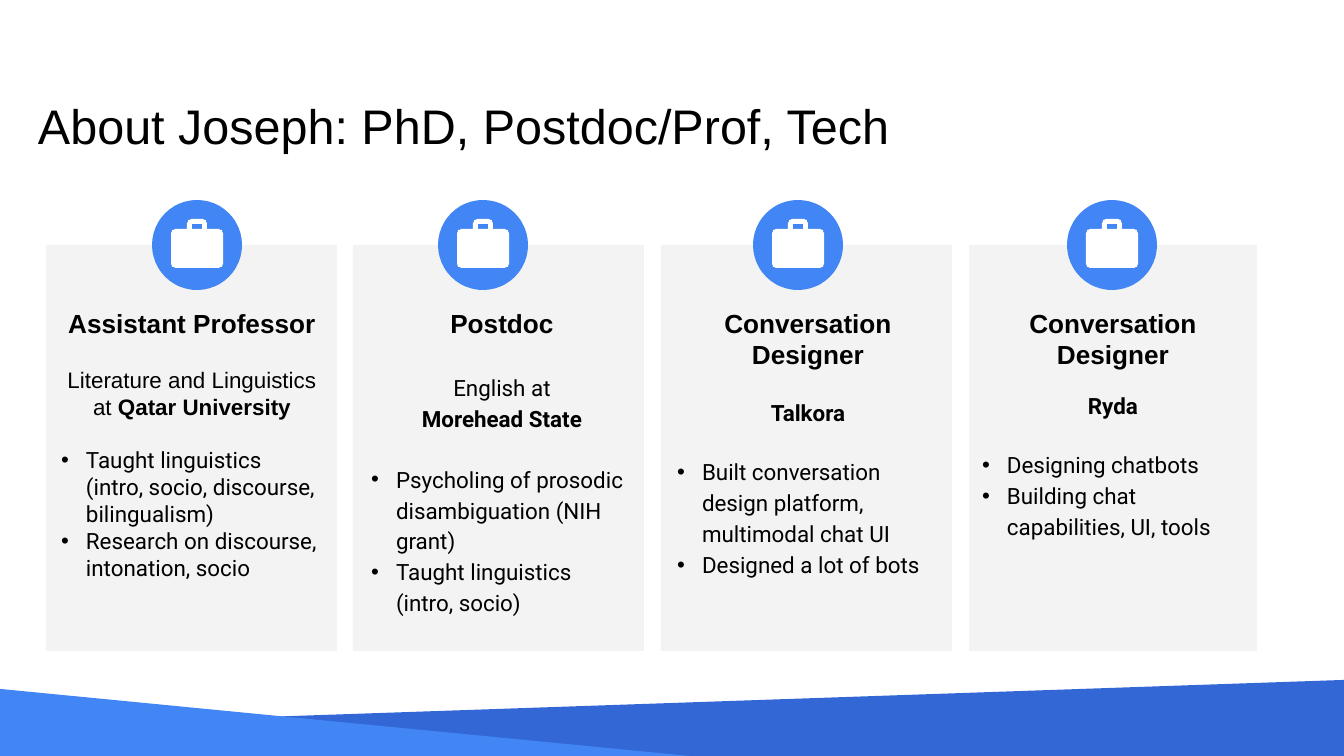
from dataclasses import dataclass
from math import cos, radians, sin

from lxml import etree
from pptx import Presentation
from pptx import util as u
from pptx.dml.color import RGBColor
from pptx.enum import shapes, text
from pptx.oxml.ns import qn

PX = 9144000 / 1344
BLACK, WHITE, GREY = "000000", "FFFFFF", "F3F3F3"
BLUE, DARK_BLUE = "4285F4", "3367D6"
CARD_TOP, CARD_HEIGHT = 245, 406
ICON_TOP, ICON_SIZE = 200, 90
TEXT_TOP, TEXT_WIDTH = 294, 288
INSET, INDENT = 13, 25


@dataclass
class Card:
    left: int
    width: int
    icon_left: int
    text_left: int
    heading: str
    place: list[tuple[str, bool]]  # (text, bold); "\n" breaks the line
    duties: list[str]
    place_gap: float  # points
    duties_gap: float
    place_font: str = "Roboto"
    place_spacing: float = 1.0
    duties_spacing: float = 1.15


CARDS = [
    Card(46, 291, 152, 48, "Assistant Professor",
         [("Literature and Linguistics at ", False), ("Qatar University", True)],
         ["Taught linguistics (intro, socio, discourse, bilingualism)",
          "Research on discourse, intonation, socio"],
         15, 14, place_font="Arial", duties_spacing=1.0),
    Card(353, 291, 438, 358, "Postdoc",
         [("English at", False), ("\n", False), ("Morehead State", True)],
         ["Psycholing of prosodic disambiguation (NIH grant)",
          "Taught linguistics (intro, socio)"],
         17, 16, place_spacing=1.15),
    Card(661, 291, 753, 664, "Conversation Designer", [("Talkora", True)],
         ["Built conversation design platform, multimodal chat UI",
          "Designed a lot of bots"],
         16, 15),
    Card(969, 288, 1067, 969, "Conversation Designer", [("Ryda", True)],
         ["Designing chatbots", "Building chat capabilities, UI, tools"],
         12, 15),
]


def px(n: float) -> int:
    return round(n * PX)


def rgb(color: str) -> RGBColor:
    return RGBColor.from_string(color)


def paint(sp, color: str):
    sp.shadow.inherit = False
    sp.fill.solid()
    sp.fill.fore_color.rgb = rgb(color)
    sp.line.fill.background()


def add_block(parent, kind, left: int, top: int, width: int, height: int, color: str):
    paint(parent.add_shape(kind, px(left), px(top), px(width), px(height)), color)


def add_outline(parent, contours, color: str):
    """Draw closed contours as one freeform; a later contour inside cuts a hole."""
    first, *holes = contours
    fb = parent.build_freeform(*first[0], scale=PX)
    fb.add_line_segments(first[1:])
    for hole in holes:
        fb.move_to(*hole[0])
        fb.add_line_segments(hole[1:])
    paint(fb.convert_to_shape(), color)


def corner(cx: float, cy: float, r: float, start: int) -> list[tuple[float, float]]:
    """Points of a clockwise quarter circle from the start angle."""
    angles = [radians(start + step) for step in range(0, 91, 15)]
    return [(cx + r * cos(a), cy + r * sin(a)) for a in angles]


def add_icon(s, left: int):
    group = s.shapes.add_group_shape().shapes
    add_block(group, shapes.MSO_SHAPE.OVAL, left, ICON_TOP, ICON_SIZE, ICON_SIZE, BLUE)
    case = [(35, 29), *corner(40, 24, 5, 180), *corner(50, 24, 5, 270), (55, 29),
            *corner(66, 34, 5, 270), *corner(66, 63, 5, 0),
            *corner(24, 63, 5, 90), *corner(24, 34, 5, 180), (35, 29)]
    handle_hole = [(50, 29), (50, 24), (40, 24), (40, 29), (50, 29)]
    add_outline(group, [[(left + x, ICON_TOP + y) for x, y in contour]
                        for contour in (case, handle_hole)], WHITE)


def place_box(sp, left: int, top: int, width: int, height: int):
    sp.left, sp.top, sp.width, sp.height = map(px, (left, top, width, height))
    tf = sp.text_frame
    tf.word_wrap = True
    tf.auto_size = text.MSO_AUTO_SIZE.NONE
    tf.vertical_anchor = text.MSO_ANCHOR.TOP
    tf.margin_left = tf.margin_right = tf.margin_top = tf.margin_bottom = px(INSET)
    return tf


def write(p, runs: list[tuple[str, bool]], *, size: int = 12, font: str = "Roboto",
          align=text.PP_ALIGN.CENTER, before: float = 0, spacing: float = 1.0,
          bullet: bool = False):
    pPr = p._p.get_or_add_pPr()
    indent = px(INDENT) if bullet else 0
    pPr.set("marL", str(indent))
    pPr.set("indent", str(-indent))
    p.alignment, p.line_spacing = align, spacing
    p.space_before, p.space_after = u.Pt(before), u.Pt(0)
    if bullet:
        etree.SubElement(pPr, qn("a:buFont"), typeface="Arial")
        etree.SubElement(pPr, qn("a:buChar"), char="•")
    else:
        etree.SubElement(pPr, qn("a:buNone"))
    for words, bold in runs:
        if words == "\n":
            p.add_line_break()
            continue
        r = p.add_run()
        r.text = words
        r.font.name, r.font.size, r.font.bold = font, u.Pt(size), bold
        r.font.color.rgb = rgb(BLACK)


def add_card(s, card: Card, body):
    add_block(s.shapes, shapes.MSO_SHAPE.RECTANGLE,
              card.left, CARD_TOP, card.width, CARD_HEIGHT, GREY)
    add_icon(s, card.icon_left)
    body.element.getparent().append(body.element)  # bring the text to the front
    tf = place_box(body, card.text_left, TEXT_TOP, TEXT_WIDTH,
                   CARD_TOP + CARD_HEIGHT - TEXT_TOP)
    write(tf.paragraphs[0], [(card.heading, True)], size=14, font="Arial")
    write(tf.add_paragraph(), card.place, font=card.place_font,
          before=card.place_gap, spacing=card.place_spacing)
    for i, duty in enumerate(card.duties):
        write(tf.add_paragraph(), [(duty, False)], align=text.PP_ALIGN.LEFT,
              before=0 if i else card.duties_gap, spacing=card.duties_spacing,
              bullet=True)


def main():
    prs = Presentation()
    prs.slide_width, prs.slide_height = px(1344), px(756)
    s = prs.slides.add_slide(prs.slide_layouts[4])  # title and four bodies
    title, *bodies = s.placeholders
    add_outline(s.shapes, [[(1344, 680), (1344, 756), (4, 756), (4, 726), (1344, 680)]],
                DARK_BLUE)
    add_outline(s.shapes, [[(0, 689), (689, 756), (0, 756), (0, 689)]], BLUE)
    tf = place_box(title, 25, 77, 972, 111)
    write(tf.paragraphs[0], [("About Joseph: PhD, Postdoc/Prof, Tech", False)],
          size=26, font="Arial", align=text.PP_ALIGN.LEFT, spacing=1.1)
    for card, body in zip(CARDS, bodies):
        add_card(s, card, body)
    prs.save("out.pptx")


if __name__ == "__main__":
    main()
